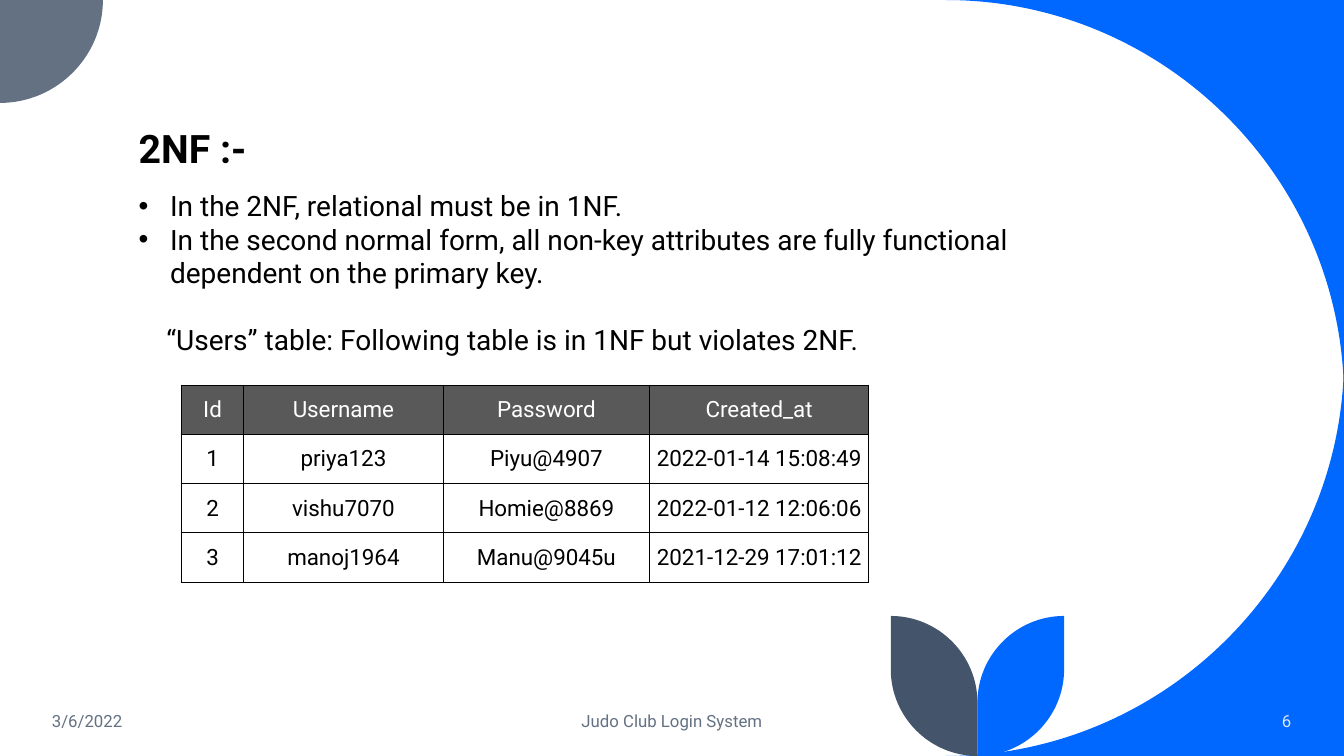
import lxml.etree
import pptx
import pptx.dml.color
import pptx.enum.text
import pptx.oxml.ns
import pptx.util

Pt = pptx.util.Pt
RGBColor = pptx.dml.color.RGBColor
Align = pptx.enum.text.PP_ALIGN
Anchor = pptx.enum.text.MSO_ANCHOR

BLUE = RGBColor(0x00, 0x68, 0xFF)
SLATE = RGBColor(0x63, 0x71, 0x83)
NAVY = RGBColor(0x44, 0x54, 0x6A)
PALE = RGBColor(0xDA, 0xE5, 0xEF)
GREY = RGBColor(0x59, 0x59, 0x59)
BLACK = RGBColor(0x00, 0x00, 0x00)
WHITE = RGBColor(0xFF, 0xFF, 0xFF)

WIDTH, HEIGHT = 960, 540
ROUND = 0.55  # Bezier handle length of a quarter circle


def add_xml(parent, tag, **attributes):
    return lxml.etree.SubElement(parent, pptx.oxml.ns.qn(tag), attributes)


class SlideWriter:
    font = "Roboto"

    def __init__(self, page):
        self.page = page

    def outline(self, color, points, corners):
        """Draw points in order; corners maps a point's index to the corner
        that the quarter circle arriving there rounds off."""
        scaled = [(Pt(x), Pt(y)) for x, y in points]
        builder = self.page.shapes.build_freeform(*scaled[0])
        builder.add_line_segments(scaled[1:])
        shape = builder.convert_to_shape()
        shape.shadow.inherit = False
        shape.fill.solid()
        shape.fill.fore_color.rgb = color
        shape.line.fill.background()
        segments = list(shape._element.iter(pptx.oxml.ns.qn("a:lnTo")))
        for index, corner in corners.items():
            start, end = points[index - 1], points[index]
            handles = [[a + ROUND * (b - a) for a, b in zip(point, corner)]
                       for point in (start, end)]
            curve = lxml.etree.Element(pptx.oxml.ns.qn("a:cubicBezTo"))
            for x, y in (*handles, end):
                add_xml(curve, "a:pt", x=str(Pt(x) - shape.left), y=str(Pt(y) - shape.top))
            segment = segments[index - 1]
            segment.getparent().replace(segment, curve)

    def style(self, para, size, color, align=Align.LEFT, bold=False):
        para.alignment = align
        para.font.name = self.font
        para.font.size = Pt(size)
        para.font.color.rgb = color
        para.font.bold = bold

    def text(self, left, top, width, height, lines, size, color,
             align=Align.LEFT, anchor=Anchor.TOP, bold=False):
        box = self.page.shapes.add_textbox(Pt(left), Pt(top), Pt(width), Pt(height))
        frame = box.text_frame
        frame.word_wrap = True
        frame.vertical_anchor = anchor
        frame.text = "\n".join(lines)
        for para in frame.paragraphs:
            self.style(para, size, color, align, bold)
        return frame.paragraphs

    def bullet(self, para, indent):
        properties = para._p.get_or_add_pPr()
        properties.set("marL", str(Pt(indent)))
        properties.set("indent", str(-Pt(indent)))
        add_xml(properties, "a:buFont", typeface="Arial")
        add_xml(properties, "a:buChar", char="•")

    def table(self, left, top, widths, row_height, rows):
        frame = self.page.shapes.add_table(
            len(rows), len(widths), Pt(left), Pt(top),
            Pt(sum(widths)), Pt(row_height * len(rows)))
        table = frame.table
        for column, width in zip(table.columns, widths):
            column.width = Pt(width)
        for r, values in enumerate(rows):
            table.rows[r].height = Pt(row_height)
            for c, value in enumerate(values):
                self.cell(table.cell(r, c), value, header=r == 0)

    def cell(self, cell, value, header):
        cell.text = value
        cell.vertical_anchor = Anchor.MIDDLE
        cell.margin_left = cell.margin_right = Pt(5)
        cell.margin_top = cell.margin_bottom = 0
        para = cell.text_frame.paragraphs[0]
        self.style(para, 16, WHITE if header else BLACK, Align.CENTER)
        para.line_spacing = Pt(18.8)
        para.space_before = Pt(3)
        # Borders come before the fill in the cell properties
        properties = cell._tc.get_or_add_tcPr()
        for side in ("a:lnL", "a:lnR", "a:lnT", "a:lnB"):
            line = add_xml(properties, side, w=str(Pt(1)))
            add_xml(add_xml(line, "a:solidFill"), "a:srgbClr", val=str(BLACK))
        if header:
            cell.fill.solid()
            cell.fill.fore_color.rgb = GREY
        else:
            cell.fill.background()


deck = pptx.Presentation()
deck.slide_width, deck.slide_height = Pt(WIDTH), Pt(HEIGHT)
writer = SlideWriter(deck.slides.add_slide(deck.slide_layouts[6]))

# Blue corners on the right and slate quarter disc at top left
CURVE, DISC = 284.4, 73.5
for edge, inner in ((0, CURVE), (HEIGHT, HEIGHT - CURVE)):
    corner = (WIDTH, edge)
    writer.outline(BLUE, [corner, (WIDTH - CURVE, edge), (WIDTH, inner)], {2: corner})
writer.outline(SLATE, [(0, 0), (DISC, 0), (0, DISC)], {2: (DISC, DISC)})

# Two mirrored leaves
STEM, LEAF_TOP, LEAF = 698.2, 440, 61.9
for side, color in ((1, BLUE), (-1, NAVY)):
    tip = STEM + side * LEAF
    writer.outline(
        color,
        [(tip, LEAF_TOP), (tip, HEIGHT - LEAF), (STEM, HEIGHT),
         (STEM, LEAF_TOP + LEAF), (tip, LEAF_TOP)],
        {2: (tip, HEIGHT), 4: (STEM, LEAF_TOP)})

# Footer
for left, width, words, color, align in (
    (30, 216, "3/6/2022", SLATE, Align.LEFT),
    (318, 324, "Judo Club Login System", SLATE, Align.CENTER),
    (799.5, 130, "6", PALE, Align.RIGHT),
):
    writer.text(left, 500.5, width, 28.8, [words], 12, color, align, Anchor.MIDDLE)

# Users table
writer.table(129.6, 275.2, [44.5, 142.5, 147.5, 156.4], 35.15, [
    ("Id", "Username", "Password", "Created_at"),
    ("1", "priya123", "Piyu@4907", "2022-01-14 15:08:49"),
    ("2", "vishu7070", "Homie@8869", "2022-01-12 12:06:06"),
    ("3", "manoj1964", "Manu@9045u", "2021-12-29 17:01:12"),
])

# Title and explanation
writer.text(92, 85, 422.6, 41, ["2NF :-"], 28, BLACK, bold=True)
*rules, caption = writer.text(92, 131.2, 725.8, 150.5, [
    "In the 2NF, relational must be in 1NF.",
    "In the second normal form, all non-key attributes are fully functional "
    "dependent on the primary key.",
    "“Users” table: Following table is in 1NF but violates 2NF.",
], 20, BLACK)
for rule in rules:
    writer.bullet(rule, 22.4)
caption.space_before = Pt(23.5)
caption._p.get_or_add_pPr().set("marL", str(Pt(19.7)))

deck.save("out.pptx")
